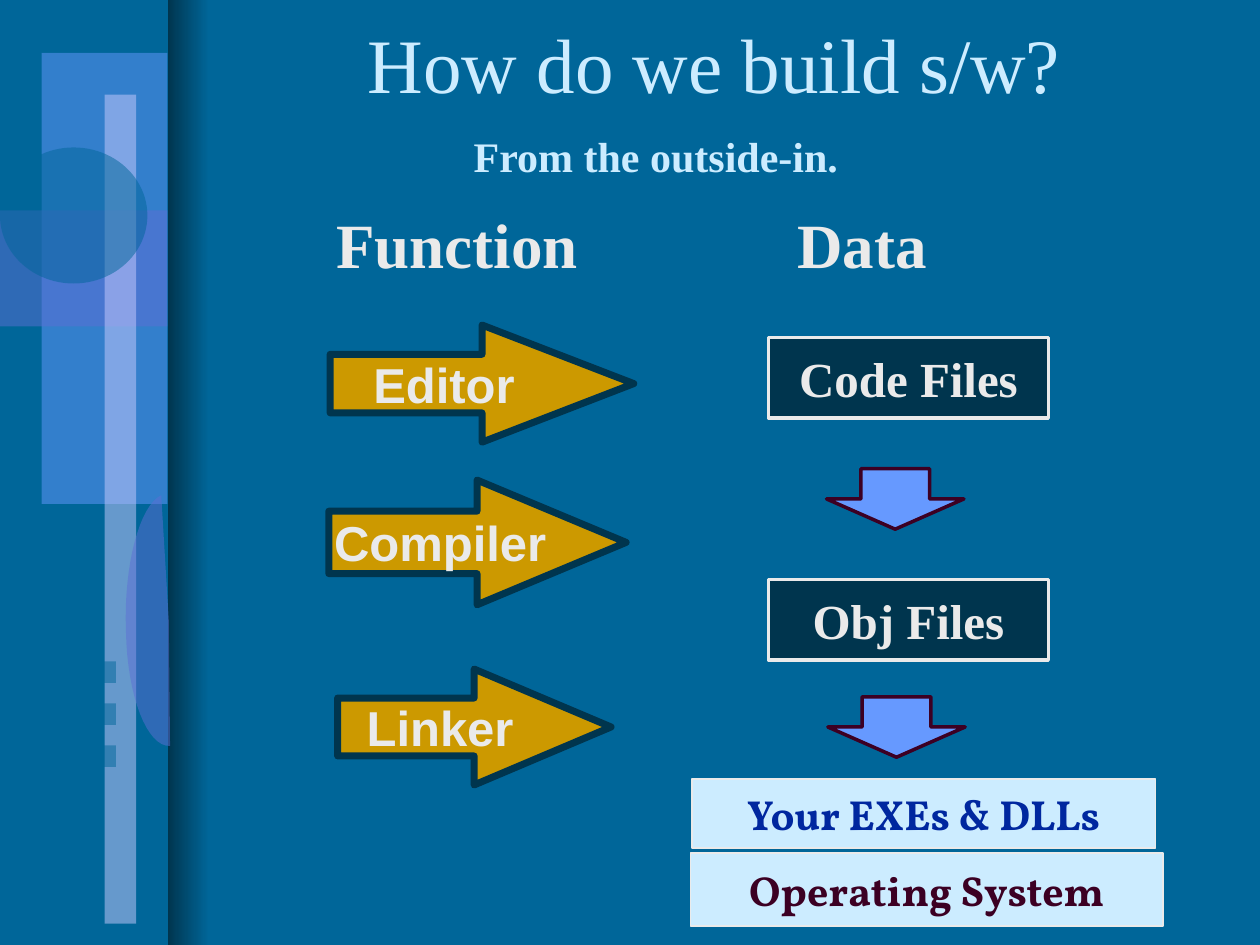
import pptx
import pptx.util
import pptx.dml.color
import pptx.enum.shapes
import pptx.enum.text
import pptx.oxml.ns
from lxml import etree

Inches, Pt = pptx.util.Inches, pptx.util.Pt
SHAPE = pptx.enum.shapes.MSO_SHAPE
ALIGN = pptx.enum.text.PP_ALIGN
MIDDLE = pptx.enum.text.MSO_ANCHOR.MIDDLE

COLORS = {
    "bg": "006699", "navy": "00354E", "gold": "CC9900", "blue": "6699FF",
    "violet": "5E6FD4", "lilac": "CCCCFF", "ice": "CCECFF", "light": "EAEAEA",
    "plum": "3C0023", "royal": "00279F",
}
SERIF, SANS, BOOK = "Times New Roman", "Arial", "Vollkorn"

# Half-transparent side ornaments: shape, colour, (left, top, width, height)
ORNAMENTS = [
    (SHAPE.RECTANGLE, "blue", (0.33, 0.42, 1, 3.58)),
    (SHAPE.RECTANGLE, "violet", (0, 1.67, 1.33, 0.92)),
    (SHAPE.RECTANGLE, "lilac", (0.83, 0.75, 0.25, 6.58)),
    (SHAPE.OVAL, "bg", (0, 1.17, 1.17, 1.08)),
] + [(SHAPE.RECTANGLE, "bg", (0, 5.25 + i / 3, 0.92, 0.17)) for i in range(3)]
# Bezier segments of the cut-off oval, four control points each
OVAL_CURVES = [
    [(1.35, 5.92), (1.17, 5.93), (1.01, 5.53), (1, 5.01)],
    [(1, 5.01), (0.98, 4.48), (1.11, 4.01), (1.28, 3.93)],
]
OVAL_CORNER = (1.34, 4.92)

HEADINGS = [("Function", (2.57, 1.58, 2.12, 0.7)), ("Data", (6.23, 1.58, 1.23, 0.7))]
# Tool, box, length of the arrow head relative to its height
TOOLS = [
    ("Editor", (2.62, 2.58, 2.41, 0.93), 1.295),
    ("Compiler", (2.61, 3.81, 2.36, 0.99), 1.195),
    ("Linker", (2.68, 5.31, 2.17, 0.92), 1.181),
]
FILES = [("Code Files", 2.68), ("Obj Files", 4.6)]
DOWN_ARROWS = [(6.56, 3.72), (6.57, 5.53)]
OUTPUTS = [
    ("Operating System", "plum", (5.48, 6.77, 3.75, 0.58)),
    ("Your EXEs & DLLs", "royal", (5.49, 6.18, 3.68, 0.55)),
]


def rgb(name):
    return pptx.dml.color.RGBColor.from_string(COLORS[name])


def paint(sp, fill, line=None, width=1, alpha=None):
    sp.shadow.inherit = False
    sp.fill.solid()
    sp.fill.fore_color.rgb = rgb(fill)
    if alpha:
        clr = sp.fill._xPr.find(".//" + pptx.oxml.ns.qn("a:srgbClr"))
        etree.SubElement(clr, pptx.oxml.ns.qn("a:alpha"), val=str(alpha * 1000))
    if line:
        sp.line.color.rgb = rgb(line)
        sp.line.width = Pt(width)
    else:
        sp.line.fill.background()


def write(sp, text, size, font, color, bold=True, align=ALIGN.CENTER, wrap=False, anchor=MIDDLE):
    tf = sp.text_frame
    tf.word_wrap, tf.vertical_anchor = wrap, anchor
    p = tf.paragraphs[0]
    p.alignment = align
    r = p.add_run()
    r.text = text
    for key, value in {"name": font, "size": Pt(size), "bold": bold}.items():
        setattr(r.font, key, value)
    r.font.color.rgb = rgb(color)
    return p


def add(s, kind, box, *colors, **style):
    sp = s.shapes.add_shape(kind, *map(Inches, box))
    paint(sp, *colors, **style)
    return sp


def bezier(points, steps=16):
    """Points along a cubic curve, ends included."""
    a, b, c, d = points
    for i in range(steps + 1):
        t = i / steps
        u = 1 - t
        yield tuple(u**3 * a[k] + 3 * u * u * t * b[k] + 3 * u * t * t * c[k] + t**3 * d[k]
                    for k in (0, 1))


def draw_side(s):
    band = add(s, SHAPE.RECTANGLE, (1.33, 0, 0.33, 7.5), "bg")
    band.fill.gradient()
    band.fill.gradient_angle = 180
    for stop, name in zip(band.fill.gradient_stops, ("bg", "navy")):
        stop.color.rgb = rgb(name)
    for kind, color, box in ORNAMENTS:
        add(s, kind, box, color, alpha=50)
    outline = [pt for curve in OVAL_CURVES for pt in bezier(curve)] + [OVAL_CORNER]
    points = [(Inches(x), Inches(y)) for x, y in outline]
    builder = s.shapes.build_freeform(*points[0])
    builder.add_line_segments(points[1:], close=True)
    paint(builder.convert_to_shape(), "violet", alpha=50)


def draw_title(s):
    title = s.shapes.title
    title.left, title.top, title.width, title.height = map(Inches, (1.42, 0, 8.5, 1))
    write(title, "How do we build s/w?", 44, SERIF, "ice", bold=False, wrap=True)


def draw_flow(s):
    for text, box in HEADINGS:
        tb = s.shapes.add_textbox(*map(Inches, box))
        write(tb, text, 36, SERIF, "light", align=ALIGN.LEFT,
              anchor=pptx.enum.text.MSO_ANCHOR.TOP)
    for text, box, head in TOOLS:
        sp = add(s, SHAPE.RIGHT_ARROW, box, "gold", "navy", 4)
        sp.adjustments[1] = head
        write(sp, text, 28, SANS, "light")
    for text, top in FILES:
        sp = add(s, SHAPE.RECTANGLE, (6.1, top, 2.22, 0.64), "navy", "light", 2)
        write(sp, text, 28, SERIF, "light")
    for left, top in DOWN_ARROWS:
        add(s, SHAPE.DOWN_ARROW, (left, top, 1.09, 0.48), "blue", "plum", 2)
    for text, color, box in OUTPUTS:
        write(add(s, SHAPE.RECTANGLE, box, "ice", "light"), text, 24, BOOK, color)
    sp = add(s, SHAPE.RECTANGLE, (1.66, 1, 6.67, 0.52), "bg")
    sp.text_frame.margin_left = Inches(2.1)
    p = write(sp, "From the outside-in.", 24, SERIF, "ice", align=ALIGN.LEFT, wrap=True)
    p.line_spacing = 0.9


def main():
    prs = pptx.Presentation()
    prs.slide_width, prs.slide_height = Inches(10), Inches(7.5)
    s = prs.slides.add_slide(prs.slide_layouts[5])
    s.background.fill.solid()
    s.background.fill.fore_color.rgb = rgb("bg")
    draw_side(s)
    draw_title(s)
    draw_flow(s)
    prs.save("out.pptx")


if __name__ == "__main__":
    main()
